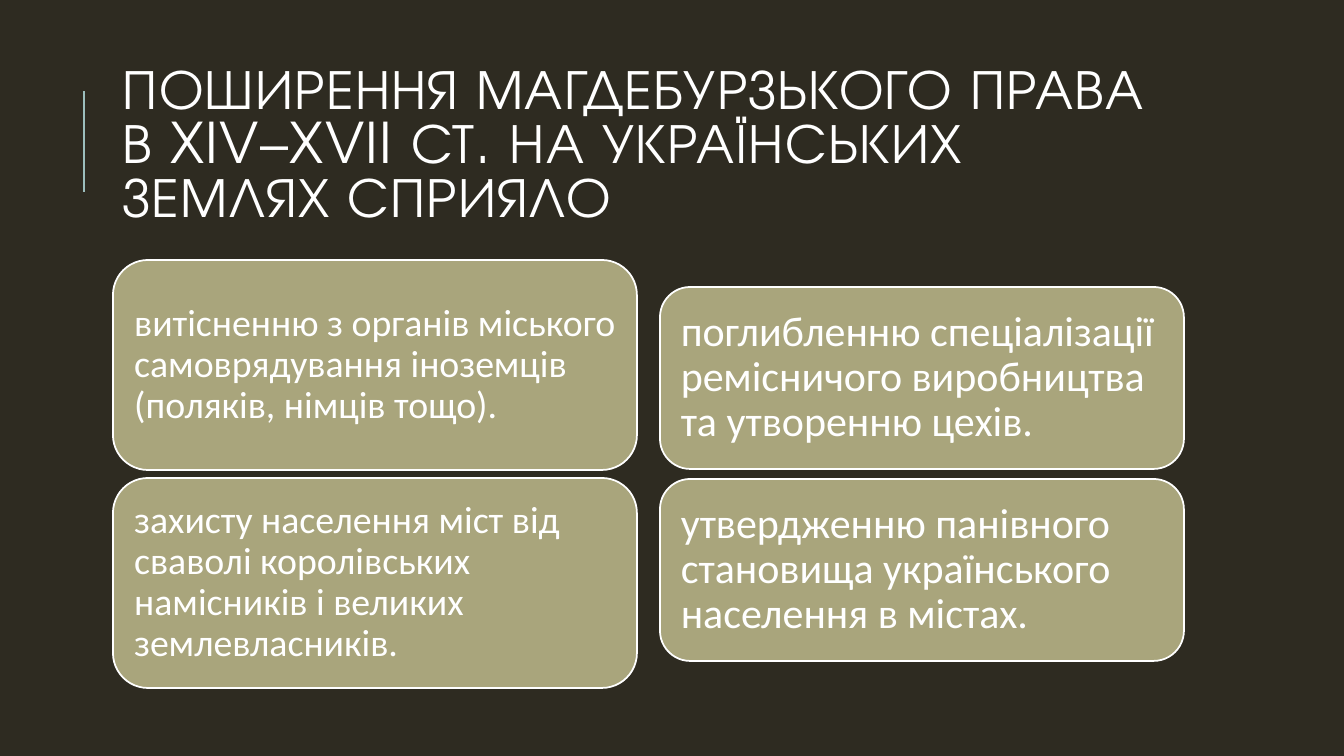
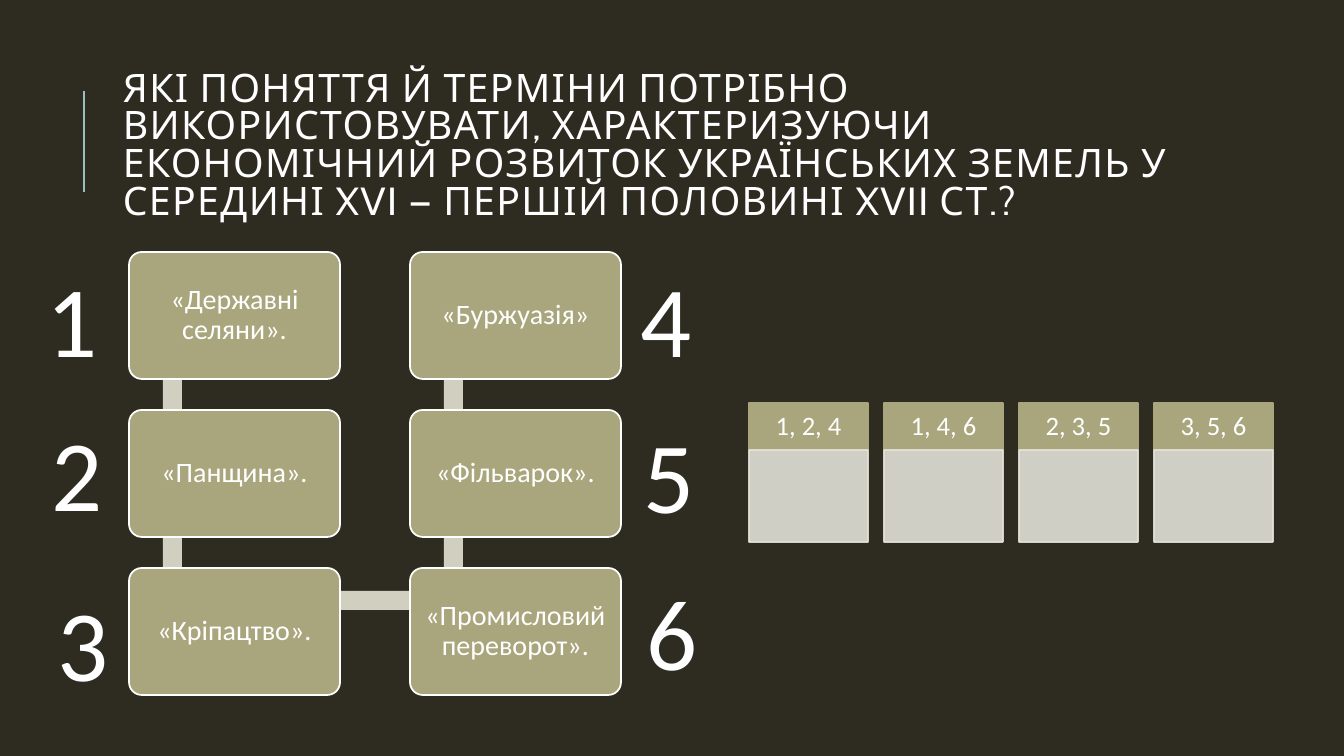
from lxml.etree import SubElement
from pptx import Presentation
from pptx.dml.color import RGBColor
from pptx.enum.shapes import MSO_CONNECTOR, MSO_SHAPE
from pptx.enum.text import MSO_ANCHOR, PP_ALIGN
from pptx.oxml.ns import qn
from pptx.util import Emu, Pt

EMU_PER_PX = 12192000 / 1344
COLORS = {
    "background": "2E2B21",
    "text": "FFFFFF",
    "accent": "9CBEBD",
    "card": "A9A57C",
    "link": "D1CFBF",
    "answer": "E2E1D7",
}


def px(n):
    return Emu(round(n * EMU_PER_PX))


def color(name):
    return RGBColor.from_string(COLORS[name])


class Deck:
    def __init__(self):
        self.prs = Presentation()
        self.prs.slide_width, self.prs.slide_height = px(1344), px(756)
        self.s = None

    def slide(self, title, width, size, font):
        """Start a slide with its background, accent line and title."""
        self.s = self.prs.slides.add_slide(self.prs.slide_layouts[6])
        fill = self.s.background.fill
        fill.solid()
        fill.fore_color.rgb = color("background")
        line = self.s.shapes.add_connector(
            MSO_CONNECTOR.STRAIGHT, px(84), px(192), px(84), px(91))
        line.line.color.rgb = color("accent")
        line.line.width = Pt(1.5)
        SubElement(line._element.spPr, qn("a:effectLst"))
        tf = self.text(title, 113, 65, width, 165, size, font,
                       anchor=MSO_ANCHOR.MIDDLE, spacing=0.8)
        for r in tf.paragraphs[0].runs:
            r._r.get_or_add_rPr().set("spc", "100")

    def fill_text(self, tf, text, size, font="Calibri", align=PP_ALIGN.LEFT,
                  anchor=MSO_ANCHOR.TOP, spacing=None, insets=None):
        """Fill a text frame; insets are (horizontal, vertical) in px."""
        tf.word_wrap = True
        tf.vertical_anchor = anchor
        if insets:
            tf.margin_left = tf.margin_right = px(insets[0])
            tf.margin_top = tf.margin_bottom = px(insets[1])
        tf.text = text
        p = tf.paragraphs[0]
        p.alignment = align
        p.line_spacing = spacing
        for r in p.runs:
            r.font.size = Pt(size)
            r.font.name = font
            r.font.color.rgb = color("text")
        return tf

    def text(self, text, x, y, w, h, size, font="Calibri", **style):
        box = self.s.shapes.add_textbox(px(x), px(y), px(w), px(h))
        return self.fill_text(box.text_frame, text, size, font, **style)

    def shape(self, kind, x, y, w, h, fill, line=None):
        sp = self.s.shapes.add_shape(kind, px(x), px(y), px(w), px(h))
        sp.shadow.inherit = False
        sp.fill.solid()
        sp.fill.fore_color.rgb = color(fill)
        if line:
            sp.line.color.rgb = color(line)
            sp.line.width = Pt(1.25)
        else:
            sp.line.fill.background()
        return sp

    def card(self, text, x, y, w, h, size, inset, align=PP_ALIGN.LEFT, radius=0.1667):
        sp = self.shape(MSO_SHAPE.ROUNDED_RECTANGLE, x, y, w, h, "card", "text")
        sp.adjustments[0] = radius
        self.fill_text(sp.text_frame, text, size, align=align, spacing=0.9,
                       anchor=MSO_ANCHOR.MIDDLE, insets=(inset, inset))

    def link(self, x, y, w, h):
        self.shape(MSO_SHAPE.RECTANGLE, x, y, w, h, "link")

    def answer(self, text, x, y, w):
        """Draw an answer option: a header over an empty translucent cell."""
        header = self.shape(MSO_SHAPE.RECTANGLE, x, y, w, 47, "card", "card")
        self.fill_text(header.text_frame, text, 19, align=PP_ALIGN.CENTER,
                       anchor=MSO_ANCHOR.MIDDLE, spacing=0.9, insets=(15, 8))
        cell = self.shape(MSO_SHAPE.RECTANGLE, x, y + 47, w, 92, "answer", "answer")
        for clr in cell._element.spPr.iter(qn("a:srgbClr")):
            SubElement(clr, qn("a:alpha")).set("val", "90000")


def spread_slide(deck):
    deck.slide("ПОШИРЕННЯ МАГДЕБУРЗЬКОГО ПРАВА В XIV–XVII СТ. НА УКРАЇНСЬКИХ "
               "ЗЕМЛЯХ СПРИЯЛО", 1072, 40, "TeX Gyre Adventor")
    columns = [
        (660, 287, 182, 10, 30, 12, [
            "поглибленню спеціалізації ремісничого виробництва та утворенню цехів.",
            "утвердженню панівного становища українського населення в містах."]),
        (113, 260, 210, 8, 27, 11, [
            "витісненню з органів міського самоврядування іноземців "
            "(поляків, німців тощо).",
            "захисту населення міст від сваволі королівських намісників "
            "і великих землевласників."]),
    ]
    for x, top, h, gap, size, inset, texts in columns:
        for i, text in enumerate(texts):
            deck.card(text, x, top + i * (h + gap), 524, h, size, inset)


def terms_slide(deck):
    deck.slide("ЯКІ ПОНЯТТЯ Й ТЕРМІНИ ПОТРІБНО ВИКОРИСТОВУВАТИ, ХАРАКТЕРИЗУЮЧИ "
               "ЕКОНОМІЧНИЙ РОЗВИТОК УКРАЇНСЬКИХ ЗЕМЕЛЬ У СЕРЕДИНІ "
               "XVI — ПЕРШІЙ ПОЛОВИНІ XVII СТ.?", 1131, 28, "Cabin")
    left, top, col_step, row_step = 129, 252, 281, 158
    columns = [
        ["«Державні селяни».", "«Панщина».", "«Кріпацтво»."],
        ["«Буржуазія»", "«Фільварок».", "«Промисловий переворот»."],
    ]
    for col in range(2):
        for row in range(2):
            deck.link(left + 34 + col * col_step, top + 32 + row * row_step, 19, 157)
    deck.link(left + 43, 591, col_step, 19)
    for col, terms in enumerate(columns):
        for row, term in enumerate(terms):
            deck.card(term, left + col * col_step, top + row * row_step, 211, 127,
                      20, 8, PP_ALIGN.CENTER, radius=0.1)

    for i, option in enumerate(["1, 2, 4", "1, 4, 6", "2, 3, 5", "3, 5, 6"]):
        deck.answer(option, 749 + i * 135, 403, 119)

    places = [(37, 252), (42, 406), (48, 576), (631, 252), (634, 408), (637, 565)]
    for number, (x, y) in enumerate(places, 1):
        deck.text(str(number), x, y, 83, 132, 72)


def main():
    deck = Deck()
    spread_slide(deck)
    terms_slide(deck)
    deck.prs.save("out.pptx")


if __name__ == "__main__":
    main()
